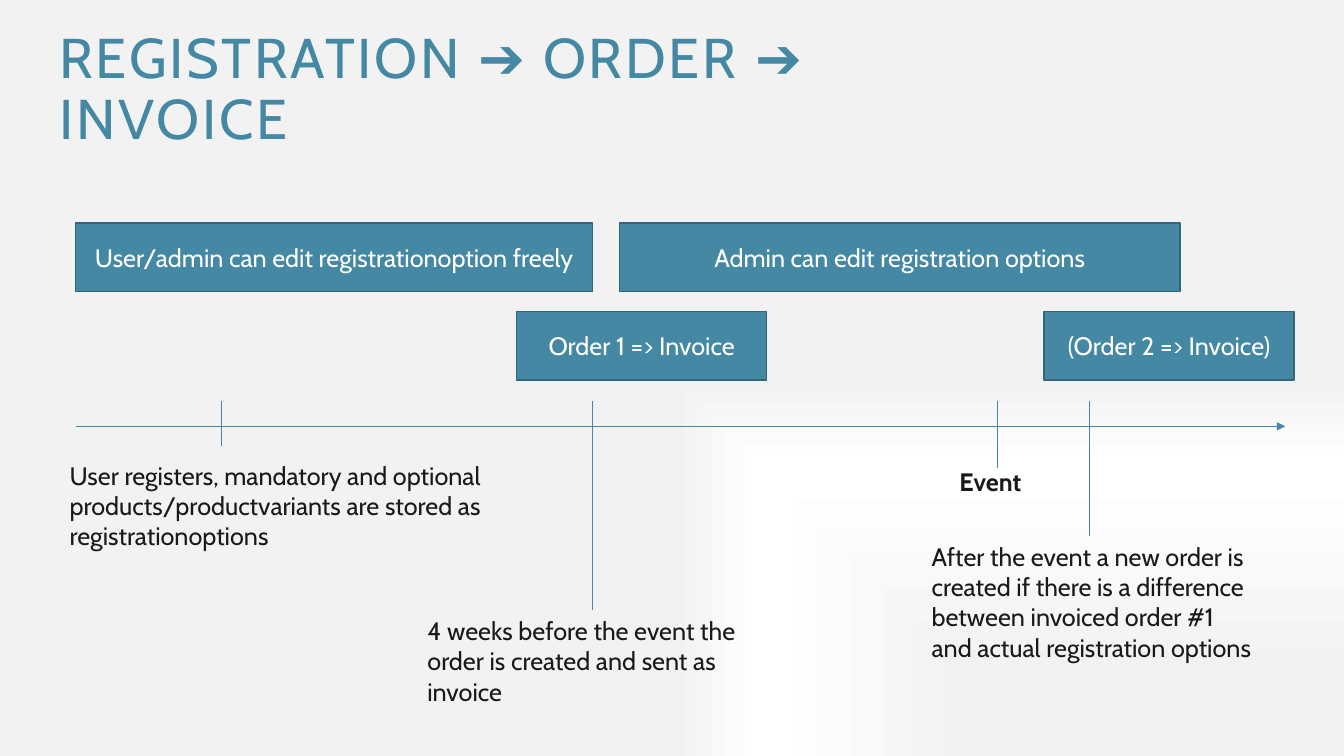
from lxml import etree
from pptx import Presentation
from pptx.dml.color import RGBColor
from pptx.enum.shapes import MSO_CONNECTOR, MSO_SHAPE
from pptx.enum.text import MSO_ANCHOR, MSO_AUTO_SIZE, PP_ALIGN
from pptx.oxml import parse_xml
from pptx.oxml.ns import nsdecls, qn
from pptx.util import Pt

STRAIGHT, RECTANGLE = MSO_CONNECTOR.STRAIGHT, MSO_SHAPE.RECTANGLE
BOTTOM, MIDDLE, TOP = MSO_ANCHOR.BOTTOM, MSO_ANCHOR.MIDDLE, MSO_ANCHOR.TOP
LEFT, CENTER = PP_ALIGN.LEFT, PP_ALIGN.CENTER
FIT_SHAPE, NO_FIT = MSO_AUTO_SIZE.SHAPE_TO_FIT_TEXT, MSO_AUTO_SIZE.NONE

# Content (lengths in points)
FONT = "Cabin"
COLORS = {"teal": "4588A4", "edge": "336579", "ink": "191919", "white": "FFFFFF"}
TITLE = "REGISTRATION ➔ ORDER ➔ INVOICE"

# Position, colour, opacity in percent
BACKGROUND_STOPS = [(0, "F2F2F2", 37), (20, "F2F2F2", 46), (76, "FFFFFF", 9), (100, "F2F2F2", 19)]

# Left, width, text; one list for each row of bars
BAR_HEIGHT = 49
BAR_ROWS = {
    159.3: [(54, 369.4, "User/admin can edit registrationoption freely"),
            (442.4, 400.5, "Admin can edit registration options")],
    222.5: [(369, 178.6, "Order 1 => Invoice"),
            (745.7, 178.6, "(Order 2 => Invoice)")],
}

AXIS_LEFT, AXIS_RIGHT, AXIS_Y = 54, 918, 304.5
TICK_TOP = 286.6
# Tick x, tick bottom, note left, top, width, bold, lines
EVENTS = [
    (158.4, 318.7, 42.6, 325, 320, False,
     ["User registers, mandatory and optional",
      "products/productvariants are stored as", "registrationoptions"]),
    (423.4, 436, 298.2, 436, 242, False,
     ["4 weeks before the event the", "order is created and sent as", "invoice"]),
    (778.3, 383, 658.4, 383, 252, False,
     ["After the event a new order is", "created if there is a difference",
      "between invoiced order #1", "and actual registration options"]),
    (712.5, 334, 678.2, 329.4, 66, True, ["Event"]),
]


def rgb(name):
    return RGBColor.from_string(COLORS[name])


def write(box, text, color, size=18, bold=False, align=LEFT, **frame_format):
    frame = box.text_frame
    for name, value in frame_format.items():
        setattr(frame, name, value)
    para = frame.paragraphs[0]
    para.text = text
    para.alignment = align
    for span in para.runs:
        for name, value in {"name": FONT, "size": Pt(size), "bold": bold}.items():
            setattr(span.font, name, value)
        span.font.color.rgb = rgb(color)
    return para


def add_line(page, x1, y1, x2, y2):
    line = page.shapes.add_connector(STRAIGHT, Pt(x1), Pt(y1), Pt(x2), Pt(y2))
    line.line.color.rgb = rgb("teal")
    line.line.width = Pt(0.5)
    etree.SubElement(line._element.spPr, qn("a:effectLst"))
    return line


def set_background(page):
    stops = "".join(
        f'<a:gs pos="{position * 1000}"><a:srgbClr val="{color}">'
        f'<a:alpha val="{opacity * 1000}"/></a:srgbClr></a:gs>'
        for position, color, opacity in BACKGROUND_STOPS)
    page._element.cSld.insert(0, parse_xml(
        f'<p:bg {nsdecls("p", "a")}><p:bgPr><a:gradFill rotWithShape="1">'
        f'<a:gsLst>{stops}</a:gsLst><a:path path="rect">'
        '<a:fillToRect l="100000" t="100000"/></a:path></a:gradFill>'
        '<a:effectLst/></p:bgPr></p:bg>'))


def main():
    deck = Presentation()
    deck.slide_width, deck.slide_height = Pt(960), Pt(540)
    page = deck.slides.add_slide(deck.slide_layouts[5])
    set_background(page)

    # Title
    title = page.shapes.title
    title.left, title.top, title.width, title.height = Pt(35.3), Pt(21.6), Pt(720), Pt(93.6)
    inset = Pt(7.2)
    para = write(title, TITLE, "teal", size=40, vertical_anchor=BOTTOM, word_wrap=True,
                 auto_size=NO_FIT, margin_left=inset, margin_right=inset,
                 margin_top=inset, margin_bottom=inset)
    para.line_spacing = 0.9
    para.runs[0].font._element.set("spc", "200")

    # Time axis
    axis = add_line(page, AXIS_LEFT, AXIS_Y, AXIS_RIGHT, AXIS_Y)
    etree.SubElement(axis.line._get_or_add_ln(), qn("a:tailEnd"), type="triangle")

    # Ticks and their notes
    for x, bottom, left, top, width, bold, lines in EVENTS:
        add_line(page, x, TICK_TOP, x, bottom)
        height = 7.2 + 21.8 * len(lines)
        note = page.shapes.add_textbox(Pt(left), Pt(top), Pt(width), Pt(height))
        write(note, "\v".join(lines), "ink", bold=bold, word_wrap=True,
              auto_size=FIT_SHAPE, vertical_anchor=TOP)

    # Bars above the axis
    for top, bars in BAR_ROWS.items():
        for left, width, text in bars:
            bar = page.shapes.add_shape(RECTANGLE, Pt(left), Pt(top), Pt(width), Pt(BAR_HEIGHT))
            bar.shadow.inherit = False
            bar.fill.solid()
            bar.fill.fore_color.rgb = rgb("teal")
            bar.line.color.rgb = rgb("edge")
            bar.line.width = Pt(1)
            write(bar, text, "white", align=CENTER, word_wrap=True, vertical_anchor=MIDDLE)

    deck.save("out.pptx")


if __name__ == "__main__":
    main()
